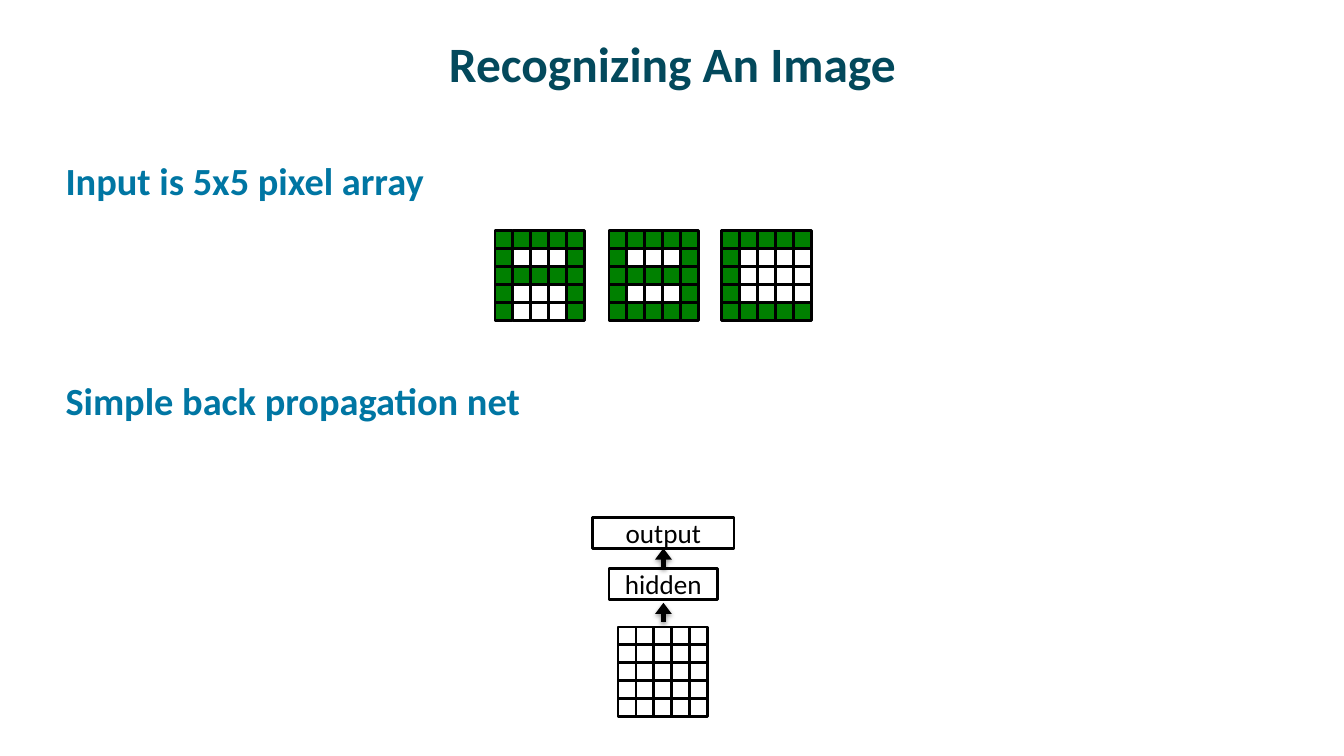
from dataclasses import dataclass

from lxml import etree
from pptx import Presentation
from pptx.dml.color import RGBColor
from pptx.enum.shapes import MSO_CONNECTOR, MSO_SHAPE
from pptx.enum.text import MSO_ANCHOR, MSO_AUTO_SIZE, PP_ALIGN
from pptx.oxml.ns import qn
from pptx.slide import Slide
from pptx.util import Inches, Pt

RECTANGLE = MSO_SHAPE.RECTANGLE
STRAIGHT = MSO_CONNECTOR.STRAIGHT
MIDDLE, TOP = MSO_ANCHOR.MIDDLE, MSO_ANCHOR.TOP
NO_AUTOFIT = MSO_AUTO_SIZE.NONE
CENTER, LEFT = PP_ALIGN.CENTER, PP_ALIGN.LEFT

FONT = "Calibri"
COLORS = {
    "title": "03495C",
    "body": "0076A3",
    "on": "008000",
    "off": "FFFFFF",
    "ink": "000000",
}
CELL = 0.71 / 4
AXIS = 6.58
LAYER_HEIGHT = 0.31


@dataclass(frozen=True)
class PixelGrid:
    left: float
    top: float
    rows: tuple[str, ...]


@dataclass(frozen=True)
class Layer:
    label: str
    top: float
    width: float


@dataclass(frozen=True)
class Arrow:
    start: float
    end: float


GRIDS = (
    PixelGrid(4.91, 2.29, ("#####", "#...#", "#####", "#...#", "#...#")),
    PixelGrid(6.04, 2.29, ("#####", "#...#", "#####", "#...#", "#####")),
    PixelGrid(7.16, 2.29, ("#####", "#....", "#....", "#....", "#####")),
    PixelGrid(6.13, 6.22, (".....",) * 5),
)
ARROWS = (Arrow(6.17, 5.98), Arrow(5.64, 5.44))
LAYERS = (Layer("hidden", 5.64, 1.08), Layer("output", 5.13, 1.4))


def color(name: str) -> RGBColor:
    return RGBColor.from_string(COLORS[name])


def write(para, text: str, *, size: float, ink: str, bold: bool = False,
          align=LEFT, before: float = 0) -> None:
    para.alignment = align
    para.space_before = Pt(before)
    span = para.add_run()
    span.text = text
    span.font.name = FONT
    span.font.size = Pt(size)
    span.font.bold = bold
    span.font.color.rgb = color(ink)


def place(holder, left: float, top: float, width: float, height: float, anchor):
    holder.left, holder.top = Inches(left), Inches(top)
    holder.width, holder.height = Inches(width), Inches(height)
    frame = holder.text_frame
    frame.auto_size = NO_AUTOFIT
    frame.word_wrap = True
    frame.vertical_anchor = anchor
    frame.margin_left = frame.margin_right = Inches(0.11)
    frame.margin_top = frame.margin_bottom = Inches(0.06)
    return frame


def draw_text(page: Slide) -> None:
    title = place(page.shapes.title, 0.67, 0.16, 12, 0.92, MIDDLE)
    write(title.paragraphs[0], "Recognizing An Image",
          size=35.3, ink="title", bold=True, align=CENTER)
    body = place(page.placeholders[1], 0.44, 1.5, 12.22, 5.2, TOP)
    points = (
        (body.paragraphs[0], "Input is 5x5 pixel array", 0),
        (body.add_paragraph(), "Simple back propagation net", 124),
    )
    for para, text, before in points:
        write(para, text, size=27.4, ink="body", bold=True, before=before)
        properties = para._p.get_or_add_pPr()
        properties.set("marL", str(Inches(0.1)))
        properties.set("indent", "0")
        etree.SubElement(properties, qn("a:buNone"))


def add_box(shapes, left: float, top: float, width: float, height: float, fill: str):
    box = shapes.add_shape(RECTANGLE, Inches(left), Inches(top), Inches(width), Inches(height))
    box.shadow.inherit = False
    box.fill.solid()
    box.fill.fore_color.rgb = color(fill)
    box.line.color.rgb = color("ink")
    box.line.width = Pt(2)
    return box


def draw_grid(page: Slide, grid: PixelGrid) -> None:
    group = page.shapes.add_group_shape()
    for row, pixels in enumerate(grid.rows):
        for column, pixel in enumerate(pixels):
            add_box(group.shapes, grid.left + column * CELL, grid.top + row * CELL,
                    CELL, CELL, "on" if pixel == "#" else "off")


def draw_layer(page: Slide, layer: Layer) -> None:
    box = add_box(page.shapes, AXIS - layer.width / 2, layer.top,
                  layer.width, LAYER_HEIGHT, "off")
    frame = box.text_frame
    frame.word_wrap = True
    frame.vertical_anchor = MIDDLE
    write(frame.paragraphs[0], layer.label, size=19.4, ink="ink", align=CENTER)


def draw_arrow(page: Slide, arrow: Arrow) -> None:
    connector = page.shapes.add_connector(
        STRAIGHT, Inches(AXIS), Inches(arrow.start), Inches(AXIS), Inches(arrow.end))
    connector.line.color.rgb = color("ink")
    connector.line.width = Pt(4)
    etree.SubElement(connector.line._get_or_add_ln(), qn("a:tailEnd"),
                     type="triangle", w="med", len="sm")
    effects = etree.SubElement(connector._element.spPr, qn("a:effectLst"))
    shadow = etree.SubElement(effects, qn("a:outerShdw"), blurRad=str(Pt(3.1)),
                              dist=str(Pt(1.6)), dir="5400000", rotWithShape="0")
    tint = etree.SubElement(shadow, qn("a:srgbClr"), val=COLORS["ink"])
    etree.SubElement(tint, qn("a:alpha"), val="38000")


def main() -> None:
    deck = Presentation()
    deck.slide_width, deck.slide_height = Inches(13.33), Inches(7.5)
    page = deck.slides.add_slide(deck.slide_layouts[1])
    draw_text(page)
    for grid in GRIDS:
        draw_grid(page, grid)
    for arrow, layer in zip(ARROWS, LAYERS):
        draw_arrow(page, arrow)
        draw_layer(page, layer)
    deck.save("out.pptx")


if __name__ == "__main__":
    main()
